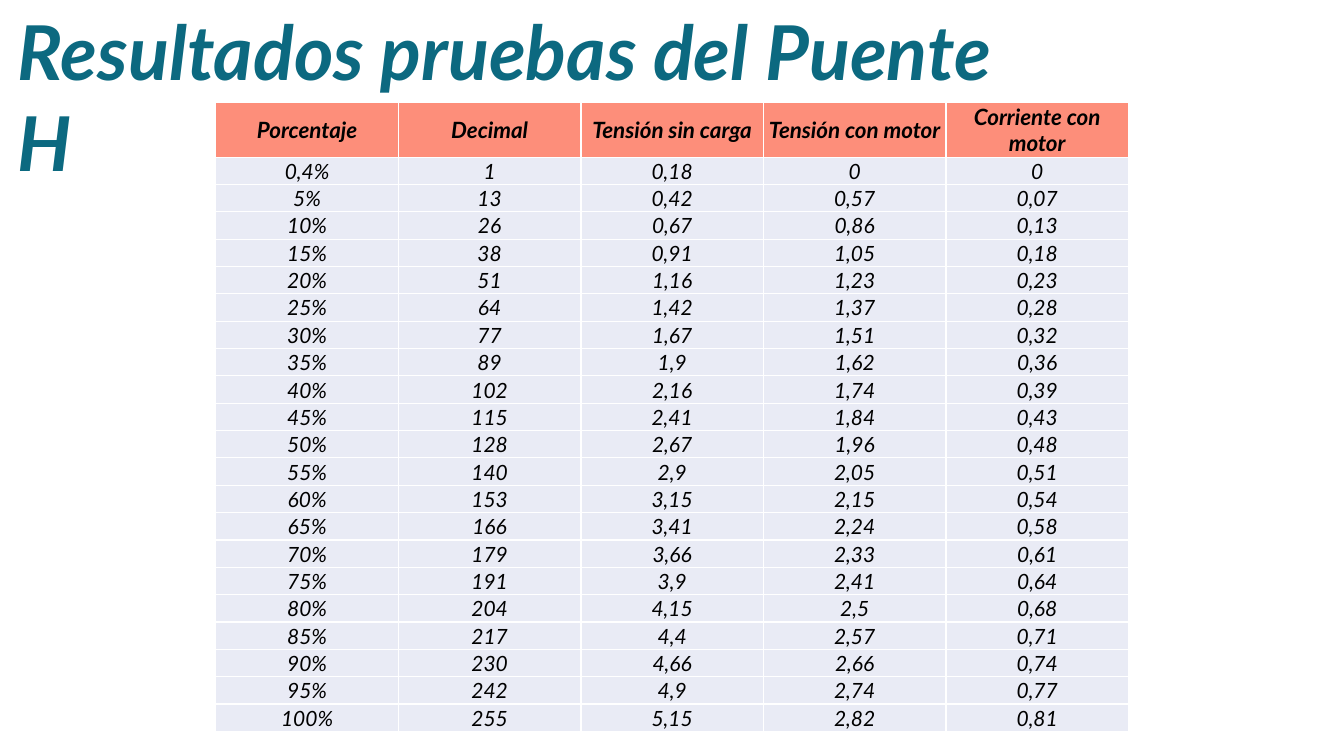
from lxml.etree import SubElement
from pptx import Presentation
from pptx.dml.color import RGBColor
from pptx.enum.text import MSO_ANCHOR, PP_ALIGN
from pptx.oxml.ns import qn
from pptx.util import Cm, Pt

FONT = "Lato"
TEAL, CORAL, PALE, WHITE, BLACK = "0C6980", "FD8E7A", "E9EBF5", "FFFFFF", "000000"

HEADERS = ["Porcentaje", "Decimal", "Tensión sin carga", "Tensión con motor", "Corriente con motor"]
READINGS = [
    ("0,4%", "1", "0,18", "0", "0"),
    ("5%", "13", "0,42", "0,57", "0,07"),
    ("10%", "26", "0,67", "0,86", "0,13"),
    ("15%", "38", "0,91", "1,05", "0,18"),
    ("20%", "51", "1,16", "1,23", "0,23"),
    ("25%", "64", "1,42", "1,37", "0,28"),
    ("30%", "77", "1,67", "1,51", "0,32"),
    ("35%", "89", "1,9", "1,62", "0,36"),
    ("40%", "102", "2,16", "1,74", "0,39"),
    ("45%", "115", "2,41", "1,84", "0,43"),
    ("50%", "128", "2,67", "1,96", "0,48"),
    ("55%", "140", "2,9", "2,05", "0,51"),
    ("60%", "153", "3,15", "2,15", "0,54"),
    ("65%", "166", "3,41", "2,24", "0,58"),
    ("70%", "179", "3,66", "2,33", "0,61"),
    ("75%", "191", "3,9", "2,41", "0,64"),
    ("80%", "204", "4,15", "2,5", "0,68"),
    ("85%", "217", "4,4", "2,57", "0,71"),
    ("90%", "230", "4,66", "2,66", "0,74"),
    ("95%", "242", "4,9", "2,74", "0,77"),
    ("100%", "255", "5,15", "2,82", "0,81"),
]


def paint(color_format, color):
    """Set a colour from a hex string."""
    color_format.rgb = RGBColor.from_string(color)


def write(text_frame, text, size, color, bold):
    """Fill a text frame with one italic run and return its paragraph."""
    text_frame.text = text
    para = text_frame.paragraphs[0]
    font = para.runs[0].font
    font.name, font.size, font.bold, font.italic = FONT, Pt(size), bold, True
    paint(font.color, color)
    return para


def add_title(page, text):
    """Add the wrapping slide title."""
    box = page.shapes.add_textbox(Cm(0.2), Cm(0), Cm(26.77), Cm(2.57))
    box.text_frame.word_wrap = True
    write(box.text_frame, text, 54, TEAL, True)


def add_borders(cell, color):
    """Draw a one-point line on each side of a cell."""
    properties = cell._tc.get_or_add_tcPr()
    for side in ("a:lnL", "a:lnR", "a:lnT", "a:lnB"):
        line = SubElement(properties, qn(side), w=str(Pt(1)))
        fill = SubElement(line, qn("a:solidFill"))
        SubElement(fill, qn("a:srgbClr"), val=color)


def style_cell(cell, text, size, bold, fill):
    """Write and format one table cell."""
    cell.margin_left = cell.margin_right = cell.margin_top = Cm(0.02)
    cell.margin_bottom = Cm(0)
    cell.vertical_anchor = MSO_ANCHOR.MIDDLE
    write(cell.text_frame, text, size, BLACK, bold).alignment = PP_ALIGN.CENTER
    add_borders(cell, WHITE)
    cell.fill.solid()
    paint(cell.fill.fore_color, fill)


def add_results(page, headers, readings):
    """Add the table of measurements under its header row."""
    rows = [headers, *readings]
    header_height, row_height = Cm(1.39), Cm(0.69)
    height = header_height + row_height * len(readings)
    frame = page.shapes.add_table(len(rows), len(headers), Cm(5.44), Cm(2.57), Cm(23), height)
    table = frame.table
    table.horz_banding = False
    for index, values in enumerate(rows):
        is_header = index == 0
        table.rows[index].height = header_height if is_header else row_height
        size, fill = (16, CORAL) if is_header else (15, PALE)
        for column, text in enumerate(values):
            style_cell(table.cell(index, column), text, size, is_header, fill)


def main():
    """Build and save the slide."""
    deck = Presentation()
    deck.slide_width, deck.slide_height = Cm(33.87), Cm(19.05)
    page = deck.slides.add_slide(deck.slide_layouts[6])
    add_title(page, "Resultados pruebas del Puente H")
    add_results(page, HEADERS, READINGS)
    deck.save("out.pptx")


if __name__ == "__main__":
    main()
